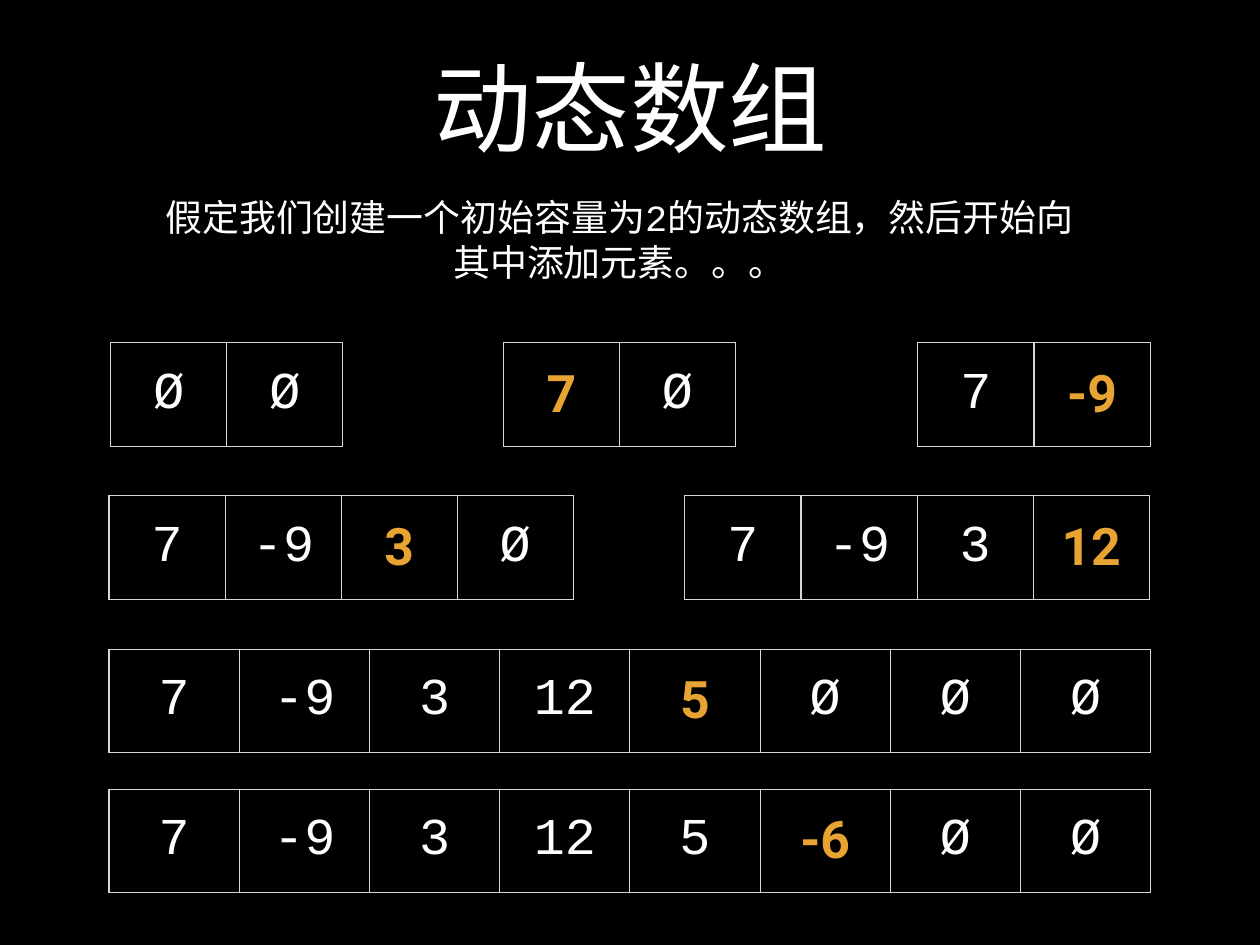
from lxml.etree import SubElement
from pptx import Presentation
from pptx.dml.color import RGBColor
from pptx.enum.text import MSO_ANCHOR, PP_ALIGN
from pptx.oxml.ns import qn
from pptx.util import Inches, Pt

COLORS = {"back": "000000", "text": "FFFFFF", "new": "E8A432", "edge": "D6D6D6"}
PAD = {"margin_left": Inches(0.06), "margin_right": Inches(0.06),
       "margin_top": Inches(0.06), "margin_bottom": Inches(0.06),
       "vertical_anchor": MSO_ANCHOR.MIDDLE}
PLAIN = {"name": "Courier New", "bold": False}
FRESH = {"name": "Roboto", "bold": True}
HIGH = 1.17
ARRAYS = [
    (1.25, 3.87, 1.31, ["Ø", "Ø"], None),
    (5.68, 3.87, 1.31, ["7", "Ø"], 0),
    (10.36, 3.87, 1.31, ["7", "-9"], 1),
    (1.23, 5.6, 1.31, ["7", "-9", "3", "Ø"], 2),
    (7.73, 5.6, 1.31, ["7", "-9", "3", "12"], 3),
    (1.23, 7.33, 1.47, ["7", "-9", "3", "12", "5", "Ø", "Ø", "Ø"], 4),
    (1.23, 8.91, 1.47, ["7", "-9", "3", "12", "5", "-6", "Ø", "Ø"], 5),
]


def apply(item, values):
    for name, value in values.items():
        setattr(item, name, value)


def write(frame, text, size, style, color):
    line = frame.paragraphs[0]
    line.alignment = PP_ALIGN.CENTER
    run = line.add_run()
    run.text = text
    apply(run.font, {**style, "size": Pt(size)})
    run.font.color.rgb = RGBColor.from_string(COLORS[color])


def add_text(slide, box, text, size):
    frame = slide.shapes.add_textbox(*map(Inches, box)).text_frame
    apply(frame, {**PAD, "word_wrap": True})
    write(frame, text, size, PLAIN, "text")


def add_edges(cell):
    props = cell._tc.get_or_add_tcPr()
    for side in ("lnL", "lnR", "lnT", "lnB"):
        line = SubElement(props, qn("a:" + side), w=str(Pt(1)))
        fill = SubElement(line, qn("a:solidFill"))
        SubElement(fill, qn("a:srgbClr"), val=COLORS["edge"])


def add_array(slide, box, items, fresh):
    left, top, width, height = map(Inches, box)
    table = slide.shapes.add_table(1, len(items), left, top, width, height).table
    apply(table, {"first_row": False, "horz_banding": False})
    for index, text in enumerate(items):
        table.columns[index].width = Inches(box[2] / len(items))
        cell = table.cell(0, index)
        apply(cell, PAD)
        add_edges(cell)
        cell.fill.solid()
        cell.fill.fore_color.rgb = RGBColor.from_string(COLORS["back"])
        style, color = (FRESH, "new") if index == fresh else (PLAIN, "text")
        write(cell.text_frame, text, 42, style, color)


deck = Presentation()
apply(deck, {"slide_width": Inches(14.22), "slide_height": Inches(10.67)})
slide = deck.slides.add_slide(deck.slide_layouts[6])
back = slide.background.fill
back.solid()
back.fore_color.rgb = RGBColor.from_string(COLORS["back"])

add_text(slide, (2.6, 0.39, 9.03, 1.61), "动态数组", 80)
add_text(slide, (1.63, 2.14, 10.72, 1.12),
         "假定我们创建一个初始容量为2的动态数组，然后开始向其中添加元素。。。", 30)
for left, top, width, items, fresh in ARRAYS:
    add_array(slide, (left, top, width * len(items), HIGH), items, fresh)

deck.save("out.pptx")
